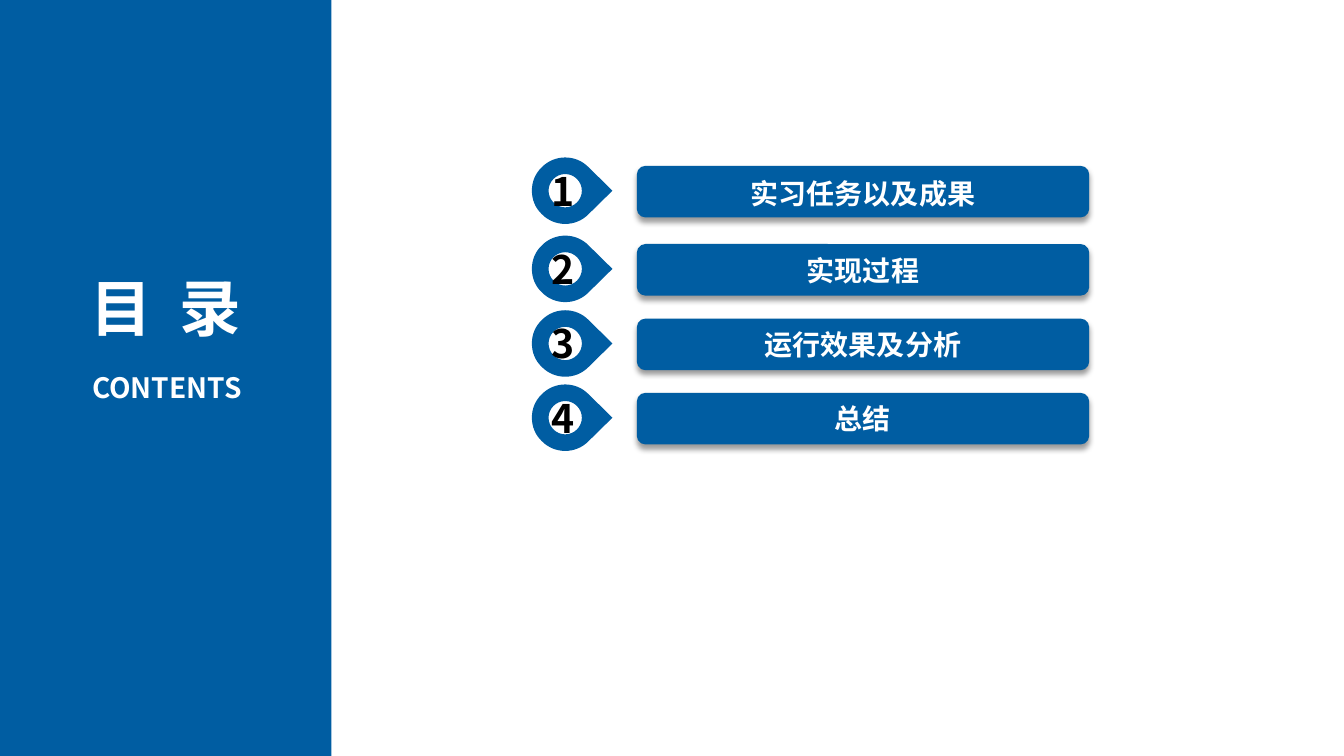
from lxml import etree
from pptx import Presentation
from pptx.dml.color import RGBColor
from pptx.enum.shapes import MSO_SHAPE
from pptx.enum.text import MSO_ANCHOR, MSO_AUTO_SIZE, PP_ALIGN
from pptx.oxml.ns import qn
from pptx.util import Cm, Pt

RECT, ROUND = MSO_SHAPE.RECTANGLE, MSO_SHAPE.ROUNDED_RECTANGLE
TOP, MIDDLE = MSO_ANCHOR.TOP, MSO_ANCHOR.MIDDLE
LEFT, CENTER = PP_ALIGN.LEFT, PP_ALIGN.CENTER
GROW = MSO_AUTO_SIZE.SHAPE_TO_FIT_TEXT
FONT = "Noto Sans CJK SC"
COLORS = {"blue": "005DA2", "white": "FFFFFF", "black": "000000"}


def write(sp, text, size, color, align=CENTER, anchor=TOP, wrap=True):
    tf = sp.text_frame
    for name, value in {"word_wrap": wrap, "vertical_anchor": anchor}.items():
        setattr(tf, name, value)
    p = tf.paragraphs[0]
    p.alignment = align
    r = p.add_run()
    r.text = text
    for name, value in {"name": FONT, "size": Pt(size), "bold": True}.items():
        setattr(r.font, name, value)
    r.font.color.rgb = RGBColor.from_string(COLORS[color])
    rPr = r.font._element
    etree.SubElement(rPr, qn("a:ea"), typeface=FONT)
    return rPr


def paint(sp):
    sp.fill.solid()
    sp.fill.fore_color.rgb = RGBColor.from_string(COLORS["blue"])
    sp.line.fill.background()
    sp.shadow.inherit = False


prs = Presentation()
prs.slide_width, prs.slide_height = Cm(33.87), Cm(19.05)
s = prs.slides.add_slide(prs.slide_layouts[5])

title = s.shapes.title
sidebar = s.shapes.add_shape(RECT, 0, 0, Cm(8.35), prs.slide_height)
paint(sidebar)
title.element.addprevious(sidebar.element)

frame = {"left": 1.42, "top": 6.68, "width": 5.51, "height": 2.13}
for name, value in frame.items():
    setattr(title, name, Cm(value))
rPr = write(title, "目 录", 44, "white")
rPr.set("spc", "500")
title.text_frame.auto_size = GROW

contents = s.shapes.add_textbox(Cm(1.96), Cm(9.22), Cm(4.5), Cm(1.12))
write(contents, "CONTENTS", 20, "white", wrap=False)
contents.text_frame.auto_size = GROW

PIN_X, PIN_SHIFT = 14.24, 0.18
HOLE = [
    [(-0.23, -0.42), (-0.42, -0.23), (-0.42, 0)],
    [(-0.42, 0.23), (-0.23, 0.42), (0, 0.42)],
    [(0.23, 0.42), (0.42, 0.23), (0.42, 0)],
    [(0.42, -0.23), (0.23, -0.42), (0, -0.42)],
]
DROP = [
    [(0.22, -0.84), (0.43, -0.76), (0.59, -0.59)],
    [(0.92, -0.27), (0.92, 0.27), (0.59, 0.59)],
    [(0, 1.19)],
    [(-0.59, 0.59)],
    [(-0.92, 0.27), (-0.92, -0.27), (-0.59, -0.59)],
    [(-0.43, -0.76), (-0.22, -0.84), (0, -0.84)],
]
rows = [
    (4.81, "实习任务以及成果"),
    (6.78, "实现过程"),
    (8.66, "运行效果及分析"),
    (10.53, "总结"),
]
for number, (y, label) in enumerate(rows, 1):
    group = s.shapes.add_group_shape().shapes

    bar = group.add_shape(ROUND, Cm(16.05), Cm(y - 0.63), Cm(11.4), Cm(1.3))
    paint(bar)
    effects = bar.element.spPr.find(qn("a:effectLst"))
    shadow = etree.SubElement(effects, qn("a:outerShdw"), blurRad=str(Pt(4)),
                              dist=str(Pt(3)), dir="5400000", rotWithShape="0")
    shade = etree.SubElement(shadow, qn("a:srgbClr"), val=COLORS["black"])
    etree.SubElement(shade, qn("a:alpha"), val="40000")
    if number == 1:
        caption = s.shapes.add_textbox(Cm(18.64), Cm(4.32), Cm(6.22), Cm(1.12))
        write(caption, label, 20, "white", wrap=False)
        caption.text_frame.auto_size = GROW
    else:
        write(bar, label, 20, "white", anchor=MIDDLE)

    builder = group.build_freeform(Cm(PIN_X), Cm(y - 0.42), scale=1.0)
    for contour in (HOLE, DROP):
        ends = [(Cm(PIN_X + seg[-1][0]), Cm(y + seg[-1][1])) for seg in contour]
        if contour is DROP:
            builder.move_to(*ends[-1])
        builder.add_line_segments(ends, close=True)
    pin = builder.convert_to_shape()
    segments = list(pin.element.iter(qn("a:lnTo")))
    for node, seg in zip(segments, HOLE + DROP):
        for i, (dx, dy) in enumerate(seg[:-1]):
            pt = etree.Element(qn("a:pt"), x=str(Cm(PIN_X + dx) - pin.left),
                               y=str(Cm(y + dy) - pin.top))
            node.insert(i, pt)
        if len(seg) == 3:
            node.tag = qn("a:cubicBezTo")
    paint(pin)
    pin.left += Cm(PIN_SHIFT)
    pin.top -= Cm(PIN_SHIFT)
    pin.rotation = 270

    box = group.add_textbox(Cm(13.64), Cm(y - 0.73), Cm(1.12), Cm(1.5))
    write(box, str(number), 28, "black", align=LEFT, wrap=False)
    box.text_frame.auto_size = GROW

prs.save("out.pptx")
